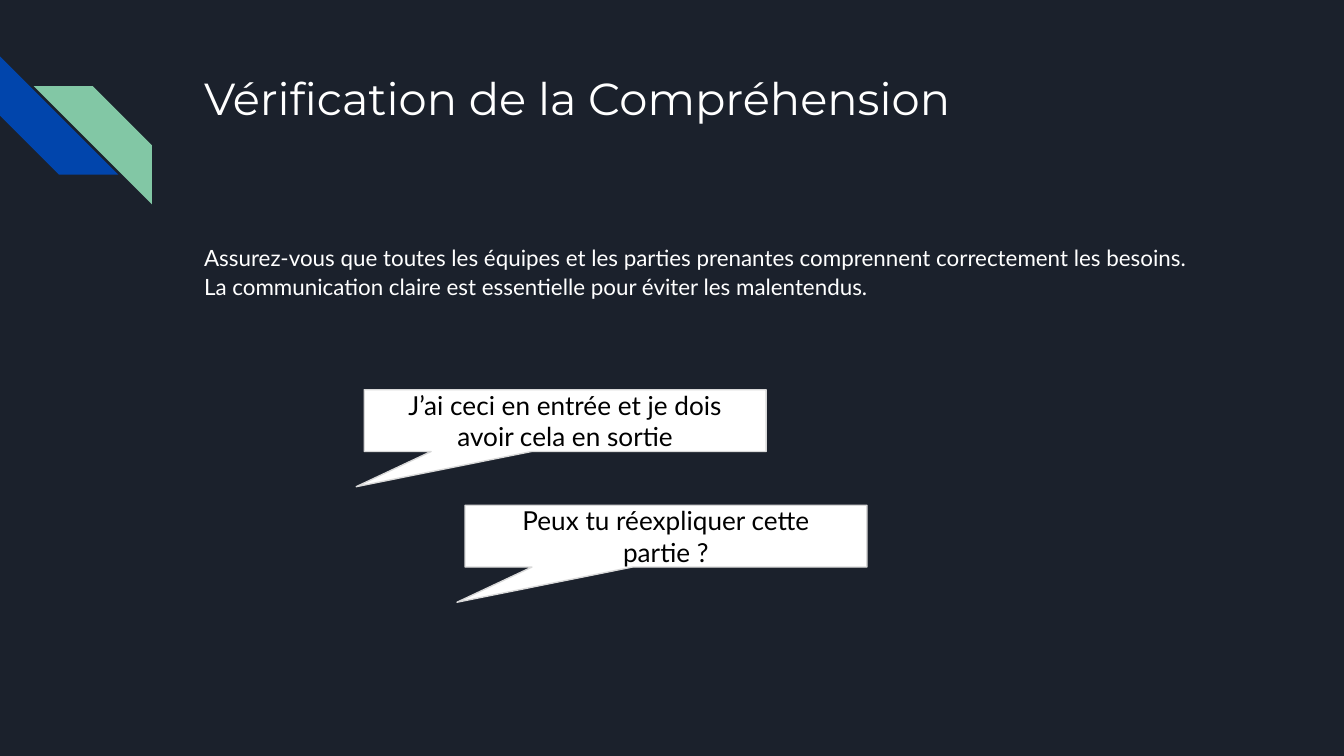
from dataclasses import dataclass

from pptx import Presentation
from pptx.dml.color import RGBColor
from pptx.enum.shapes import MSO_SHAPE
from pptx.enum.text import MSO_ANCHOR, PP_ALIGN
from pptx.shapes.autoshape import Shape
from pptx.slide import Slide
from pptx.util import Inches, Pt

NIGHT = RGBColor(0x1B, 0x21, 0x2C)
BLUE = RGBColor(0x01, 0x45, 0xAC)
GREEN = RGBColor(0x82, 0xC7, 0xA5)
WHITE = RGBColor(0xFF, 0xFF, 0xFF)
BLACK = RGBColor(0x00, 0x00, 0x00)
GRAY = RGBColor(0xD9, 0xD9, 0xD9)

PAGE_WIDTH = Inches(10)
PAGE_HEIGHT = PAGE_WIDTH * 9 // 16
TEXT_LEFT, TEXT_WIDTH = 1.42, 7.7
STRIPE_SIZE = 0.88
BUBBLE_WIDTH, BUBBLE_HEIGHT = 2.99, 0.46
BUBBLE_TAIL = (-0.52, 1.07, 0)


@dataclass(frozen=True)
class Stripe:
    left: float
    top: float
    rotation: int
    color: RGBColor


@dataclass(frozen=True)
class Bubble:
    left: float
    top: float
    text: str


STRIPES = (
    Stripe(0, 0.42, 270, BLUE),
    Stripe(0.25, 0.64, 90, GREEN),
)
BUBBLES = (
    Bubble(2.71, 2.9, "J’ai ceci en entrée et je dois avoir cela en sortie"),
    Bubble(3.46, 3.76, "Peux tu réexpliquer cette partie ?"),
)


def write(box: Shape, text: str, *, size: float, font: str = "Lato",
          color: RGBColor = WHITE, align: PP_ALIGN = PP_ALIGN.LEFT,
          anchor: MSO_ANCHOR = MSO_ANCHOR.TOP, line_spacing: float = 1.0) -> None:
    frame = box.text_frame
    frame.word_wrap = True
    frame.vertical_anchor = anchor
    frame.margin_left = frame.margin_right = Inches(0.1)
    frame.margin_top = frame.margin_bottom = Inches(0.1)
    para = frame.paragraphs[0]
    para.alignment = align
    para.line_spacing = line_spacing
    span = para.add_run()
    span.text = text
    span.font.size = Pt(size)
    span.font.name = font
    span.font.color.rgb = color


def add_text(page: Slide, top: float, height: float) -> Shape:
    """Add an empty text box in the main text column."""
    return page.shapes.add_textbox(
        Inches(TEXT_LEFT), Inches(top), Inches(TEXT_WIDTH), Inches(height))


def draw_stripe(page: Slide, stripe: Stripe) -> None:
    shape = page.shapes.add_shape(
        MSO_SHAPE.DIAGONAL_STRIPE, Inches(stripe.left), Inches(stripe.top),
        Inches(STRIPE_SIZE), Inches(STRIPE_SIZE))
    shape.shadow.inherit = False
    shape.rotation = stripe.rotation
    shape.fill.solid()
    shape.fill.fore_color.rgb = stripe.color
    shape.line.fill.background()


def draw_bubble(page: Slide, bubble: Bubble) -> None:
    shape = page.shapes.add_shape(
        MSO_SHAPE.ROUNDED_RECTANGULAR_CALLOUT, Inches(bubble.left),
        Inches(bubble.top), Inches(BUBBLE_WIDTH), Inches(BUBBLE_HEIGHT))
    shape.shadow.inherit = False
    for index, value in enumerate(BUBBLE_TAIL):
        shape.adjustments[index] = value
    shape.fill.solid()
    shape.fill.fore_color.rgb = WHITE
    shape.line.color.rgb = GRAY
    shape.line.width = Pt(0.75)
    write(shape, bubble.text, size=14, color=BLACK,
          align=PP_ALIGN.CENTER, anchor=MSO_ANCHOR.MIDDLE)


def main() -> None:
    deck = Presentation()
    deck.slide_width, deck.slide_height = PAGE_WIDTH, PAGE_HEIGHT
    page = deck.slides.add_slide(deck.slide_layouts[6])
    page.background.fill.solid()
    page.background.fill.fore_color.rgb = NIGHT

    for stripe in STRIPES:
        draw_stripe(page, stripe)
    write(add_text(page, 0.43, 1), "Vérification de la Compréhension",
          size=24, font="Montserrat")
    write(add_text(page, 1.71, 0.79),
          "Assurez-vous que toutes les équipes et les parties prenantes "
          "comprennent correctement les besoins. La communication claire "
          "est essentielle pour éviter les malentendus.",
          size=12, line_spacing=1.05)
    for bubble in BUBBLES:
        draw_bubble(page, bubble)

    deck.save("out.pptx")


if __name__ == "__main__":
    main()
